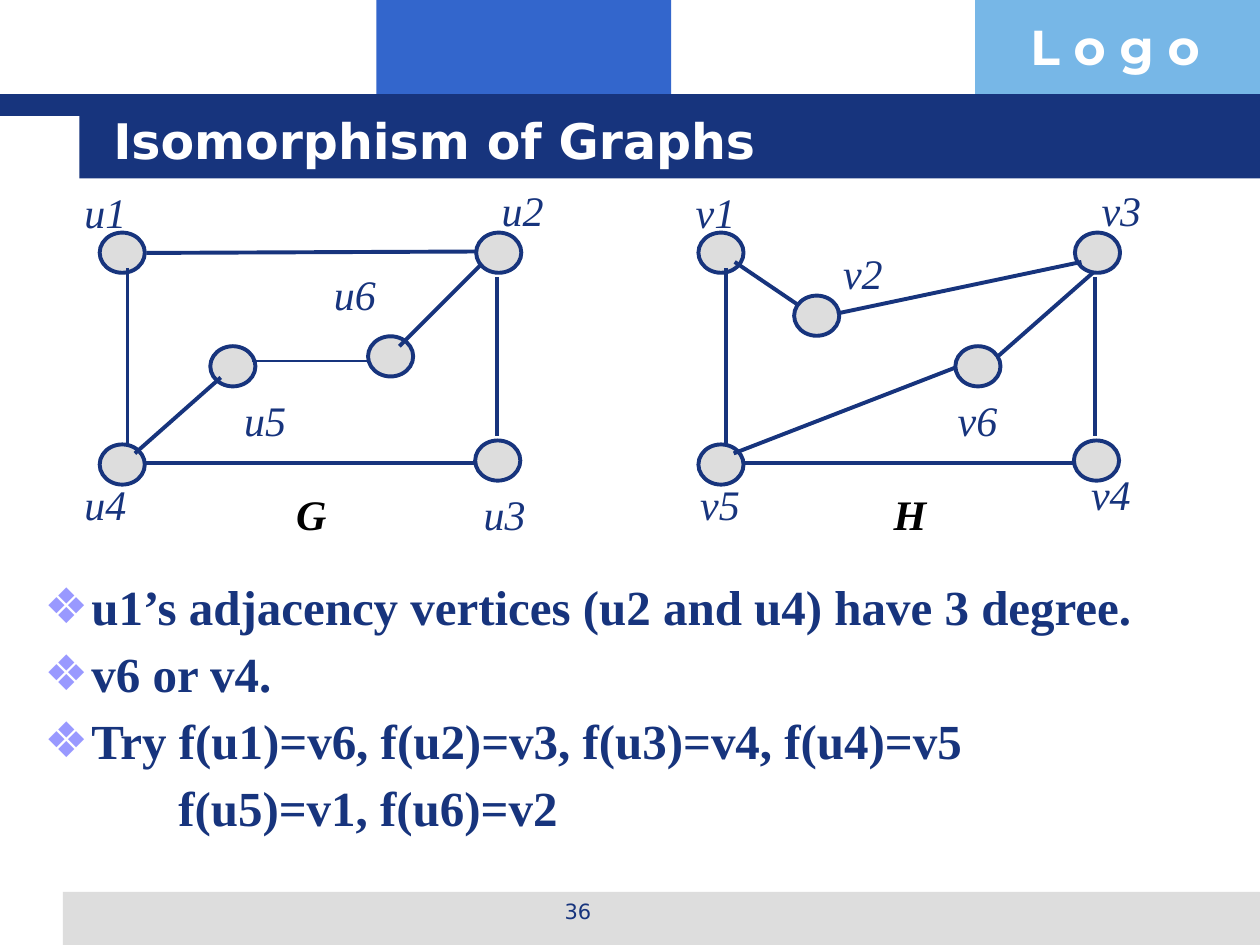
import dataclasses

import lxml.etree
import pptx
import pptx.dml.color
import pptx.enum.shapes
import pptx.enum.text
import pptx.oxml.ns
import pptx.util

Cm = pptx.util.Cm
Pt = pptx.util.Pt
SHAPE = pptx.enum.shapes.MSO_SHAPE
ALIGN = pptx.enum.text.PP_ALIGN
ANCHOR = pptx.enum.text.MSO_ANCHOR


@dataclasses.dataclass(frozen=True)
class Theme:
    """Colours, fonts and type sizes of the slide."""
    navy: str = "17347D"
    blue: str = "3366CC"
    sky: str = "77B7E7"
    grey: str = "DDDDDD"
    white: str = "FFFFFF"
    black: str = "000000"
    lilac: str = "9999FF"
    sans: str = "DejaVu Sans"
    serif: str = "Times New Roman"
    logo_font: str = "Montserrat"
    heading: int = 28
    label: int = 24
    number: int = 12


THEME = Theme()
VERTEX_SIZE = (0.91, 0.81)
CORNERS = [(0.74, 1.09), (8.33, 1.09), (0.74, 5.36), (8.31, 5.28)]
FRAME = [((1.3, 1.8), (1.3, 5.36)), ((8.74, 1.98), (8.74, 5.18)),
         ((8.31, 5.74), (1.68, 5.74))]

GRAPH_G = dict(
    name="G",
    inner=[(6.15, 3.18), (2.97, 3.38)],
    edges=[((1.68, 1.5), (8.31, 1.47)), ((6.78, 3.38), (8.43, 1.73)),
           ((1.45, 5.54), (3.18, 4.01))],
    thin_edges=[((3.81, 3.68), (6.15, 3.68))],
    labels={"u1": (0.18, 0.03), "u2": (8.59, 0), "u3": (8.23, 6.12),
            "u4": (0.18, 5.92), "u5": (3.4, 4.22), "u6": (5.21, 1.68)},
)
GRAPH_H = dict(
    name="H",
    inner=[(5.92, 3.38), (2.67, 2.36)],
    edges=[((8.46, 1.68), (3.53, 2.72)), ((1.47, 1.68), (2.74, 2.54)),
           ((8.69, 1.9), (6.78, 3.58)), ((1.45, 5.54), (5.92, 3.81))],
    thin_edges=[],
    labels={"v1": (0.41, 0.03), "v2": (3.38, 1.27), "v3": (8.59, 0),
            "v4": (8.38, 5.72), "v5": (0.5, 5.92), "v6": (5.69, 4.22)},
)
FINDINGS = [
    "u1’s adjacency vertices (u2 and u4) have 3 degree.",
    "v6 or v4.",
    "Try f(u1)=v6, f(u2)=v3, f(u3)=v4, f(u4)=v5",
]
CONTINUATION = "f(u5)=v1, f(u6)=v2"


def rgb(color):
    """Turn a hex string into a colour."""
    return pptx.dml.color.RGBColor.from_string(color)


def style(paragraph, font, size, color, bold=False, italic=False):
    """Format every run of a paragraph."""
    for run in paragraph.runs:
        run.font.name = font
        run.font.size = Pt(size)
        run.font.color.rgb = rgb(color)
        run.font.bold = bold
        run.font.italic = italic


def add_filled(shapes, preset, left, top, width, height, color):
    """Add a preset shape with a plain fill and no outline."""
    filled = shapes.add_shape(preset, Cm(left), Cm(top), Cm(width), Cm(height))
    filled.shadow.inherit = False
    filled.fill.solid()
    filled.fill.fore_color.rgb = rgb(color)
    filled.line.fill.background()
    return filled


def add_text(shapes, words, left, top, width, height, align, wrap=True):
    """Add a one-paragraph text box and return its paragraph."""
    box = shapes.add_textbox(Cm(left), Cm(top), Cm(width), Cm(height))
    box.text_frame.word_wrap = wrap
    box.text_frame.text = words
    paragraph = box.text_frame.paragraphs[0]
    paragraph.alignment = align
    return paragraph


def place(placeholder, left, top, width, height, anchor):
    """Move a placeholder and bring it in front of what is drawn so far."""
    placeholder.left, placeholder.top = Cm(left), Cm(top)
    placeholder.width, placeholder.height = Cm(width), Cm(height)
    frame = placeholder.text_frame
    frame.auto_size = pptx.enum.text.MSO_AUTO_SIZE.NONE
    frame.word_wrap = True
    frame.vertical_anchor = anchor
    tree = placeholder._element.getparent()
    tree.append(placeholder._element)
    return frame


def add_header(slide, left, top, width):
    """Draw the colour bands, the logo word and the title."""
    for x, y, w, h, color in [
        (7.59, 0, 5.94, 2.34, THEME.blue),
        (19.66, 0, width - 19.66, 2.34, THEME.sky),
        (0, 1.9, width, 0.44, THEME.navy),
        (1.6, 1.9, width - 1.6, 1.7, THEME.navy),
    ]:
        if color == THEME.navy:
            y, h = (y, h) if x else (1.9, 0.44)
        add_filled(slide.shapes, SHAPE.RECTANGLE, left + x, top + y, w, h, color)
    logo = add_text(slide.shapes, "L o g o", left + 20.52, top + 0.2, 4.9, 1.45, ALIGN.LEFT)
    style(logo, THEME.logo_font, THEME.heading, THEME.white, bold=True)
    title = place(slide.shapes.title, left + 2.03, top + 2.03, 21.67, 1.57, ANCHOR.MIDDLE)
    title.text = "Isomorphism of Graphs"
    title.paragraphs[0].alignment = ALIGN.LEFT
    style(title.paragraphs[0], THEME.sans, THEME.heading, THEME.white, bold=True)


def add_edge(shapes, left, top, start, end, weight):
    """Draw one edge of a graph."""
    edge = shapes.add_connector(
        pptx.enum.shapes.MSO_CONNECTOR.STRAIGHT,
        Cm(left + start[0]), Cm(top + start[1]), Cm(left + end[0]), Cm(top + end[1]))
    edge.line.color.rgb = rgb(THEME.navy)
    edge.line.width = Pt(weight)
    lxml.etree.SubElement(edge._element.spPr, pptx.oxml.ns.qn("a:effectLst"))


def add_graph(shapes, left, top, name, inner, edges, thin_edges, labels):
    """Draw a graph of six vertices with its labels and its name."""
    for x, y in CORNERS + inner:
        vertex = add_filled(shapes, SHAPE.OVAL, left + x, top + y, *VERTEX_SIZE, THEME.grey)
        vertex.line.color.rgb = rgb(THEME.navy)
        vertex.line.width = Pt(2.25)
    for weight, group in ((2.25, FRAME + edges), (0.75, thin_edges)):
        for start, end in group:
            add_edge(shapes, left, top, start, end, weight)
    for words, (x, y) in {**labels, name: (4.33, 6.12)}.items():
        is_name = words == name
        label = add_text(shapes, words, left + x, top + y, 1.35, 1.27, ALIGN.CENTER, wrap=False)
        style(label, THEME.serif, THEME.label, THEME.black if is_name else THEME.navy,
              bold=is_name, italic=True)


def set_bullet(paragraph, margin, indent, symbol=None):
    """Set the indents of a paragraph and its bullet, if any."""
    properties = paragraph._p.get_or_add_pPr()
    properties.set("marL", str(Cm(margin)))
    properties.set("indent", str(Cm(indent)))
    qn = pptx.oxml.ns.qn
    if symbol is None:
        lxml.etree.SubElement(properties, qn("a:buNone"))
        return
    color = lxml.etree.SubElement(properties, qn("a:buClr"))
    lxml.etree.SubElement(color, qn("a:srgbClr")).set("val", THEME.lilac)
    lxml.etree.SubElement(properties, qn("a:buChar")).set("char", symbol)


def add_findings(slide, left, top, width, height):
    """Fill the body with the bulleted findings."""
    body = place(slide.placeholders[1], left, top, width, height, ANCHOR.TOP)
    body.text = "\n".join(FINDINGS + [CONTINUATION])
    for index, finding in enumerate(body.paragraphs):
        if index < len(FINDINGS):
            set_bullet(finding, 0.95, -0.95, "❖")
        else:
            set_bullet(finding, 2.7, 0)
        finding.line_spacing = 0.9
        finding.space_before = Pt(8 if index else 0)
        style(finding, THEME.serif, THEME.heading, THEME.navy, bold=True)


def add_footer(slide, left, top, width, height):
    """Draw the footer band with the slide number."""
    add_filled(slide.shapes, SHAPE.RECTANGLE, left, top, width, height, THEME.grey)
    number = add_text(slide.shapes, "36", left + 7.42, top, 5.92, 0.89, ALIGN.CENTER)
    style(number, THEME.sans, THEME.number, THEME.navy)


def main():
    """Build the slide and save it."""
    deck = pptx.Presentation()
    deck.slide_width, deck.slide_height = Cm(25.4), Cm(19.05)
    slide = deck.slides.add_slide(deck.slide_layouts[1])
    add_header(slide, 0, 0, 25.4)
    add_footer(slide, 1.27, 17.98, 24.13, 1.07)
    add_graph(slide.shapes, 13.34, 3.6, **GRAPH_H)
    add_graph(slide.shapes.add_group_shape().shapes, 1.27, 3.6, **GRAPH_G)
    add_findings(slide, 0.64, 11.63, 24.13, 5.51)
    deck.save("out.pptx")


if __name__ == "__main__":
    main()
